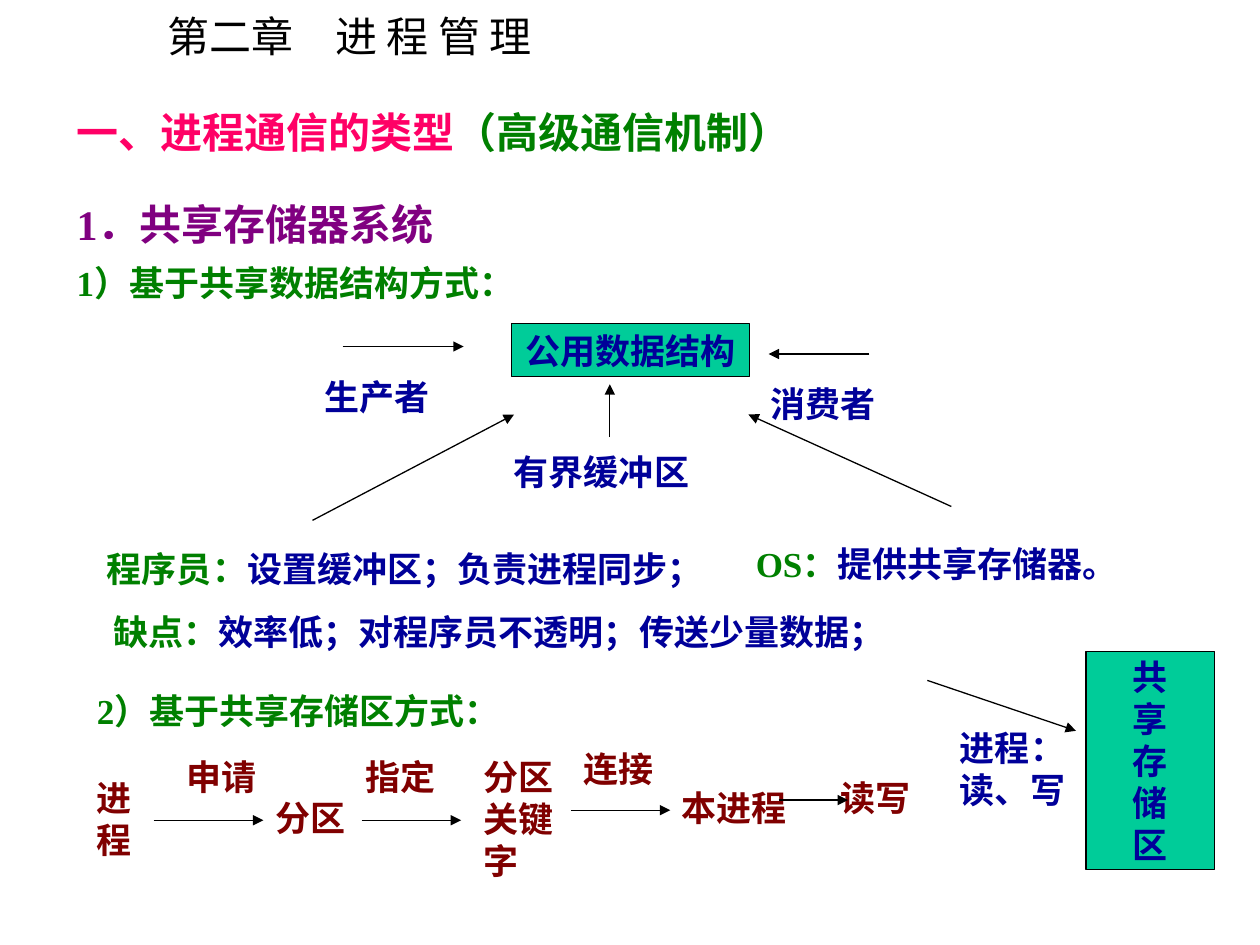
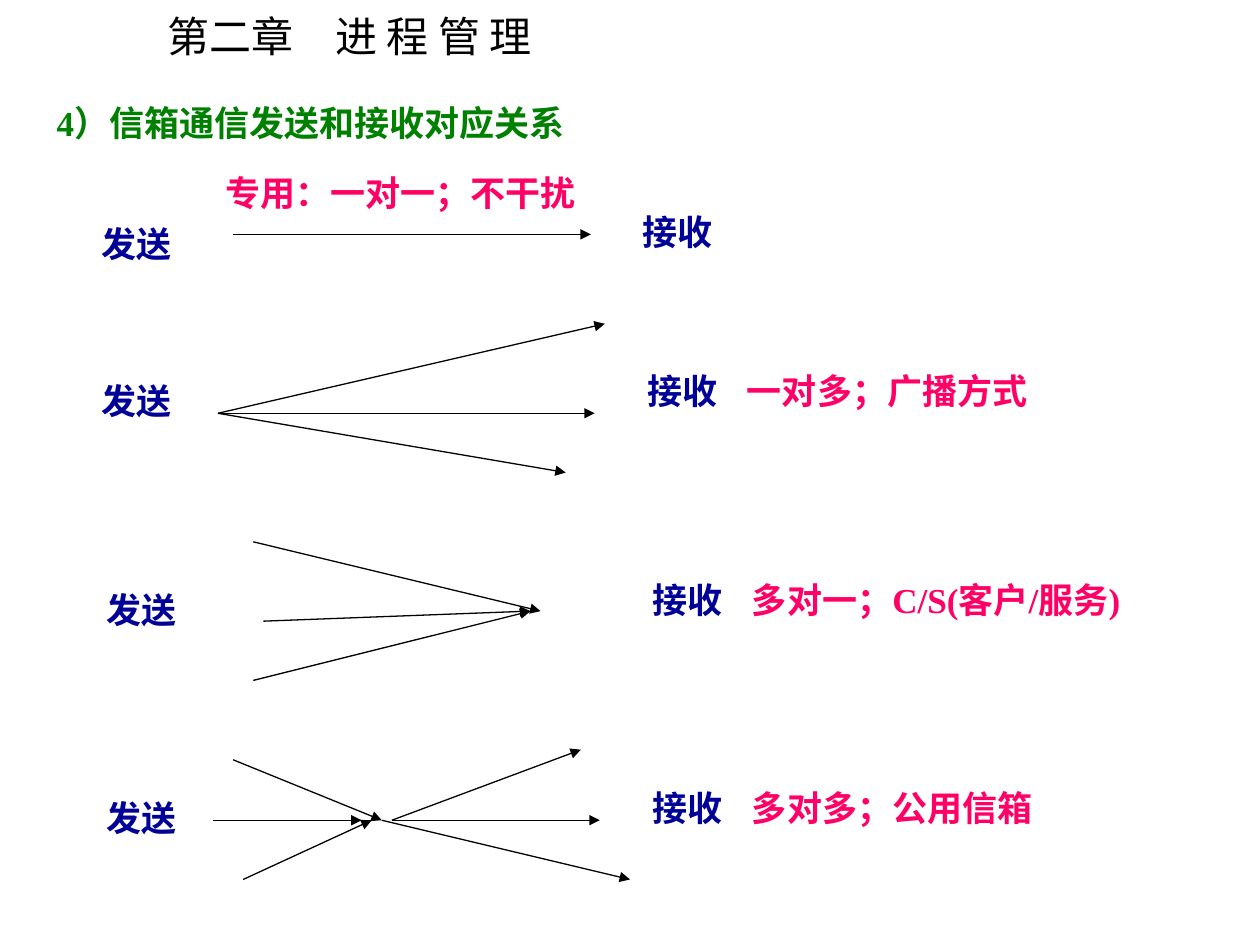
from lxml.etree import SubElement
from pptx import Presentation
from pptx.dml.color import RGBColor
from pptx.enum.shapes import MSO_CONNECTOR, MSO_SHAPE
from pptx.enum.text import MSO_ANCHOR, MSO_AUTO_SIZE, PP_ALIGN
from pptx.oxml.ns import qn
from pptx.util import Inches, Pt

BLACK = RGBColor(0x00, 0x00, 0x00)
NAVY = RGBColor(0x00, 0x00, 0x99)
GREEN = RGBColor(0x00, 0x80, 0x00)
PINK = RGBColor(0xFF, 0x00, 0x66)
PURPLE = RGBColor(0x80, 0x00, 0x80)
MAROON = RGBColor(0x80, 0x00, 0x00)
TEAL = RGBColor(0x00, 0xCC, 0x99)
LATIN_FONT = "Times New Roman"
CJK_FONT = "Noto Sans CJK SC"


def add_text(slide, left, top, width, height, *parts):
    box = slide.shapes.add_textbox(Inches(left), Inches(top), Inches(width), Inches(height))
    box.text_frame.word_wrap = True
    paragraph = box.text_frame.paragraphs[0]
    for words, color in parts:
        run = paragraph.add_run()
        run.text = words
        run.font.name = LATIN_FONT
        run.font.size = Pt(20)
        run.font.bold = True
        run.font.color.rgb = color
        SubElement(run.font._element, qn("a:ea"), typeface=CJK_FONT)
    return box.text_frame


def add_arrow(slide, x1, y1, x2, y2):
    arrow = slide.shapes.add_connector(
        MSO_CONNECTOR.STRAIGHT, Inches(x1), Inches(y1), Inches(x2), Inches(y2))
    arrow.line.color.rgb = BLACK
    arrow.line.width = Pt(0.75)
    SubElement(arrow.line._get_or_add_ln(), qn("a:tailEnd"), type="triangle")
    SubElement(arrow._element.spPr, qn("a:effectLst"))


prs = Presentation()
prs.slide_width, prs.slide_height = Inches(10), Inches(7.5)
sharing, mailbox = [prs.slides.add_slide(prs.slide_layouts[5]) for _ in range(2)]

for slide in (sharing, mailbox):
    chapter = slide.shapes.title
    chapter.left, chapter.top = Inches(1.23), Inches(0.03)
    chapter.width, chapter.height = Inches(3.16), Inches(0.5)
    frame = chapter.text_frame
    frame.text = "第二章\u3000进 程 管 理".replace("\u3000", "　")
    frame.word_wrap = False
    frame.auto_size = MSO_AUTO_SIZE.NONE
    frame.vertical_anchor = MSO_ANCHOR.TOP
    frame.paragraphs[0].alignment = PP_ALIGN.LEFT
    font = frame.paragraphs[0].runs[0].font
    font.name, font.size, font.color.rgb = CJK_FONT, Pt(24), BLACK
    SubElement(font._element, qn("a:ea"), typeface=CJK_FONT)

headings = add_text(sharing, 0.51, 0.68, 9.17, 1.79,
                    ("一、进程通信的类型", PINK), ("（高级通信机制）", GREEN))
for words, color in [("1．共享存储器系统", PURPLE), ("1）基于共享数据结构方式：", GREEN)]:
    paragraph = headings.add_paragraph()
    paragraph.text = words
    font = paragraph.runs[0].font
    font.name, font.bold, font.color.rgb = LATIN_FONT, True, color
    SubElement(font._element, qn("a:ea"), typeface=CJK_FONT)
for paragraph, size, spacing, before in zip(
        headings.paragraphs, (24, 24, 20), (1.3, 1.3, 1.1), (15, 15, 5)):
    paragraph.alignment = PP_ALIGN.JUSTIFY
    paragraph.line_spacing = spacing
    paragraph.space_before = Pt(before)
    for run in paragraph.runs:
        run.font.size = Pt(size)

for left, top, width, height, words in [
    (4.06, 2.57, 1.89, 0.42, "公用数据结构"),
    (8.62, 5.17, 1.02, 1.73, "共\n享\n存\n储\n区"),
]:
    memory = sharing.shapes.add_shape(
        MSO_SHAPE.RECTANGLE, Inches(left), Inches(top), Inches(width), Inches(height))
    memory.shadow.inherit = False
    memory.fill.solid()
    memory.fill.fore_color.rgb = TEAL
    memory.line.color.rgb = BLACK
    memory.line.width = Pt(0.75)
    memory.text_frame.text = words
    memory.text_frame.word_wrap = False
    memory.text_frame.vertical_anchor = MSO_ANCHOR.MIDDLE
    for paragraph in memory.text_frame.paragraphs:
        paragraph.alignment = PP_ALIGN.CENTER
        font = paragraph.runs[0].font
        font.name, font.size, font.bold, font.color.rgb = LATIN_FONT, Pt(20), True, NAVY
        SubElement(font._element, qn("a:ea"), typeface=CJK_FONT)

for left, top, width, height, words in [
    (2.48, 2.93, 1.2, 0.44, "生产者"),
    (6.02, 2.99, 1.2, 0.44, "消费者"),
    (3.98, 3.53, 1.84, 0.44, "有界缓冲区"),
    (7.52, 5.72, 1.18, 0.77, "进程：读、写"),
]:
    add_text(sharing, left, top, width, height, (words, NAVY))

for left, top, width, term, detail in [
    (0.75, 4.3, 5.12, "程序员：", "设置缓冲区；负责进程同步；"),
    (5.9, 4.26, 4.16, "OS：", "提供共享存储器。"),
    (0.8, 4.8, 8.06, "缺点：", "效率低；对程序员不透明；传送少量数据；"),
]:
    add_text(sharing, left, top, width, 0.44, (term, GREEN), (detail, NAVY))

region_heading = add_text(sharing, 0.67, 5.32, 3.86, 0.54, ("2）基于共享存储区方式：", GREEN))
region_heading.paragraphs[0].line_spacing = 1.3

for left, top, width, height, step in [
    (0.67, 6.11, 0.63, 0.77, "进程"),
    (1.38, 5.95, 0.87, 0.44, "申请"),
    (2.09, 6.27, 0.87, 0.44, "分区"),
    (2.8, 5.95, 0.87, 0.44, "指定"),
    (3.74, 5.95, 0.79, 1.1, "分区关键字"),
    (4.53, 5.88, 0.87, 0.44, "连接"),
    (5.31, 6.19, 1.1, 0.44, "本进程"),
    (6.57, 6.11, 0.87, 0.44, "读写"),
]:
    add_text(sharing, left, top, width, height, (step, MAROON))

for ends in [
    (4.84, 3.47, 4.84, 3.05),
    (2.72, 2.75, 3.68, 2.75),
    (6.9, 2.81, 6.1, 2.81),
    (2.48, 4.13, 4.08, 3.29),
    (7.55, 4.02, 5.94, 3.29),
    (7.36, 5.4, 8.54, 5.8),
    (1.22, 6.51, 2.09, 6.51),
    (2.87, 6.51, 3.66, 6.51),
    (4.53, 6.43, 5.32, 6.43),
    (6.18, 6.35, 6.73, 6.35),
]:
    add_arrow(sharing, *ends)

add_text(mailbox, 0.35, 0.76, 4.25, 0.77, ("4）信箱通信发送和接收对应关系", GREEN))

for send_left, send_top, receive_left, receive_top, note_left, note_top, note, arrows in [
    (0.71, 1.72, 5, 1.62, 1.69, 1.31, "专用：一对一；不干扰",
     [(1.85, 1.86, 4.69, 1.86)]),
    (0.71, 2.96, 5.04, 2.88, 5.83, 2.88, "一对多；广播方式",
     [(1.73, 3.28, 4.8, 2.57), (1.73, 3.28, 4.72, 3.28), (1.73, 3.28, 4.49, 3.75)]),
    (0.75, 4.62, 5.08, 4.54, 5.87, 4.54, "多对一；C/S(客户/服务)",
     [(2.01, 4.3, 4.29, 4.85), (2.09, 4.93, 4.21, 4.85), (2.01, 5.4, 4.21, 4.85)]),
    (0.75, 6.27, 5.08, 6.19, 5.87, 6.19, "多对多；公用信箱",
     [(1.85, 6.03, 3.03, 6.51), (1.93, 6.98, 2.95, 6.51), (1.69, 6.51, 2.87, 6.51),
      (3.03, 6.51, 5, 6.98), (3.11, 6.51, 4.76, 6.51), (3.11, 6.51, 4.61, 5.95)]),
]:
    add_text(mailbox, send_left, send_top, 1.02, 0.44, ("发送", NAVY))
    add_text(mailbox, receive_left, receive_top, 1.02, 0.44, ("接收", NAVY))
    add_text(mailbox, note_left, note_top, 4.13, 0.44, (note, PINK))
    for ends in arrows:
        add_arrow(mailbox, *ends)

prs.save("out.pptx")
